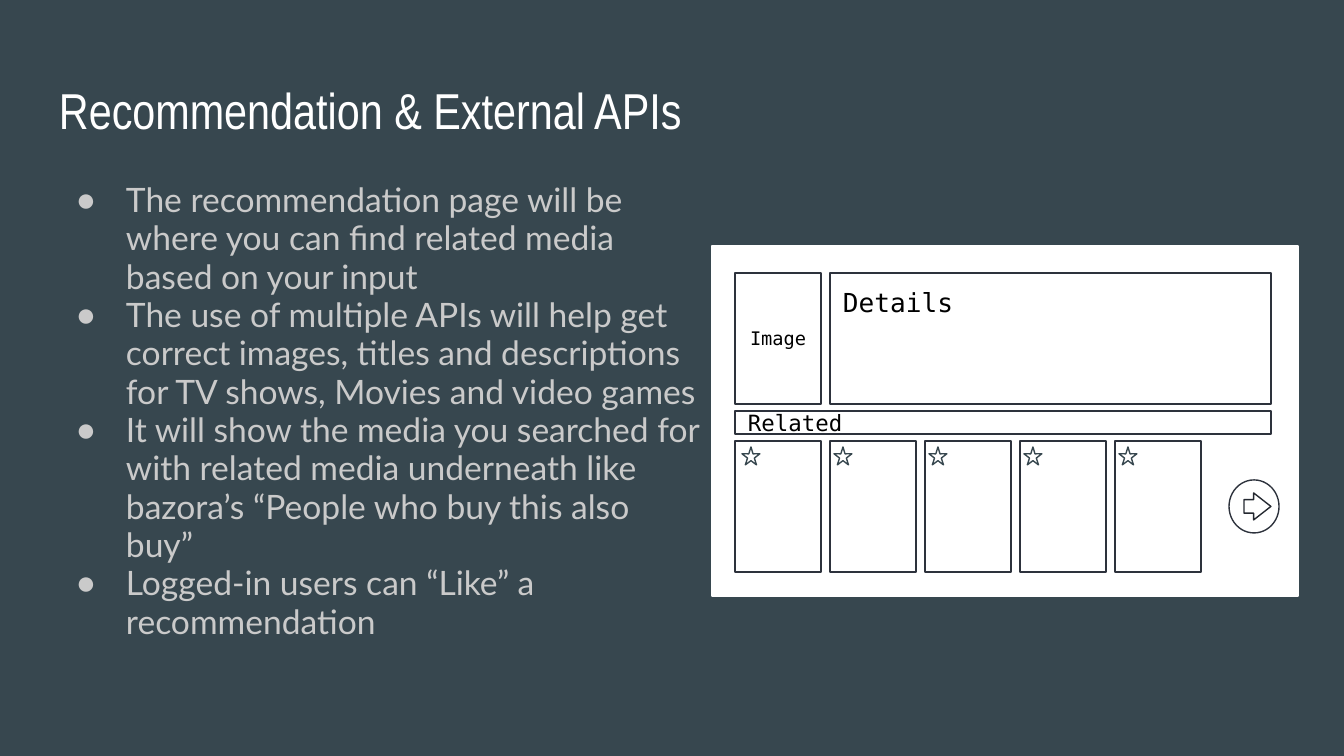
from lxml import etree
from pptx import Presentation
from pptx.dml.color import RGBColor
from pptx.enum.shapes import MSO_SHAPE
from pptx.enum.text import MSO_ANCHOR, MSO_AUTO_SIZE, PP_ALIGN
from pptx.oxml.ns import qn
from pptx.util import Emu, Pt

RECT, OVAL = MSO_SHAPE.RECTANGLE, MSO_SHAPE.OVAL
ARROW, STAR = MSO_SHAPE.RIGHT_ARROW, MSO_SHAPE.STAR_5_POINT
TOP, MIDDLE = MSO_ANCHOR.TOP, MSO_ANCHOR.MIDDLE
LEFT, CENTER = PP_ALIGN.LEFT, PP_ALIGN.CENTER
NO_AUTOFIT = MSO_AUTO_SIZE.NONE

PX = 914400 / 134.4
COLORS = {
    "slate": "37474F", "white": "FFFFFF", "body": "CACACA",
    "outline": "2D323C", "arrow": "242830", "label": "000000",
}
INSET = 13
FRAME_FORMAT = {
    "margin_left": INSET, "margin_right": INSET,
    "margin_top": INSET, "margin_bottom": INSET,
}


def px(length):
    return Emu(round(length * PX))


def rgb(name):
    return RGBColor.from_string(COLORS[name])


def format_text(frame, anchor, align, font, size, color):
    for side, length in FRAME_FORMAT.items():
        setattr(frame, side, px(length))
    frame.word_wrap = True
    frame.auto_size = NO_AUTOFIT
    frame.vertical_anchor = anchor
    for paragraph in frame.paragraphs:
        paragraph.alignment = align
        for run in paragraph.runs:
            run.font.name, run.font.size = font, Pt(size)
            run.font.color.rgb = rgb(color)


def add_outlined(kind, box, line="outline", fill="white"):
    shape = slide.shapes.add_shape(kind, *map(px, box))
    shape.shadow.inherit = False
    if fill:
        shape.fill.solid()
        shape.fill.fore_color.rgb = rgb(fill)
    else:
        shape.fill.background()
    shape.line.color.rgb = rgb(line)
    shape.line.width = Pt(0.75)
    return shape


prs = Presentation()
prs.slide_width, prs.slide_height = px(1344), px(756)
slide = prs.slides.add_slide(prs.slide_layouts[1])
slide.background.fill.solid()
slide.background.fill.fore_color.rgb = rgb("slate")

# Title and bullet list
title, points = slide.placeholders
for placeholder, box in ((title, (46, 66, 1252, 85)), (points, (46, 169, 667, 503))):
    placeholder.left, placeholder.top, placeholder.width, placeholder.height = map(px, box)

title.text_frame.text = "Recommendation & External APIs"
format_text(title.text_frame, TOP, LEFT, "Arial Narrow", 27, "white")

points.text_frame.text = "\n".join([
    "The recommendation page will be where you can find related media based on your input",
    "The use of multiple APIs will help get correct images, titles and descriptions "
    "for TV shows, Movies and video games",
    "It will show the media you searched for with related media underneath like "
    "bazora’s “People who buy this also buy”",
    "Logged-in users can “Like” a recommendation",
])
format_text(points.text_frame, TOP, LEFT, "Lato", 18, "body")
for paragraph in points.text_frame.paragraphs:
    paragraph.line_spacing = 0.95
    paragraph.space_before = paragraph.space_after = Pt(0)
    properties = paragraph._p.get_or_add_pPr()
    properties.set("marL", str(px(67)))
    properties.set("indent", str(px(-50)))
    bullet_color = etree.SubElement(properties, qn("a:buClr"))
    etree.SubElement(bullet_color, qn("a:srgbClr"), val=COLORS["body"])
    etree.SubElement(properties, qn("a:buChar"), char="●")

# Wireframe of the recommendation page
add_outlined(RECT, (712, 246, 586, 350), line="white")

for label, box, anchor, align, size in (
    ("Image", (735, 273, 86, 131), MIDDLE, CENTER, 10),
    ("Details", (830, 273, 441, 131), TOP, LEFT, 14),
    ("Related", (735, 411, 536, 23), MIDDLE, LEFT, 12),
):
    panel = add_outlined(RECT, box)
    panel.text_frame.text = label
    format_text(panel.text_frame, anchor, align, "DejaVu Sans Mono", size, "label")

# Related media cards, each with a star for liking it
for column, star_offset in enumerate((7, 4, 4, 4, 4)):
    card_left = 735 + 95 * column
    add_outlined(RECT, (card_left, 441, 86, 131))
    star = add_outlined(STAR, (card_left + star_offset, 447, 18, 18), line="slate", fill=None)
    star.adjustments[0] = 0.19

# Next button
add_outlined(OVAL, (1229, 480, 50, 53))
next_arrow = add_outlined(ARROW, (1244, 493, 27, 27), line="arrow")
next_arrow.adjustments[1] = 0.64

prs.save("out.pptx")
